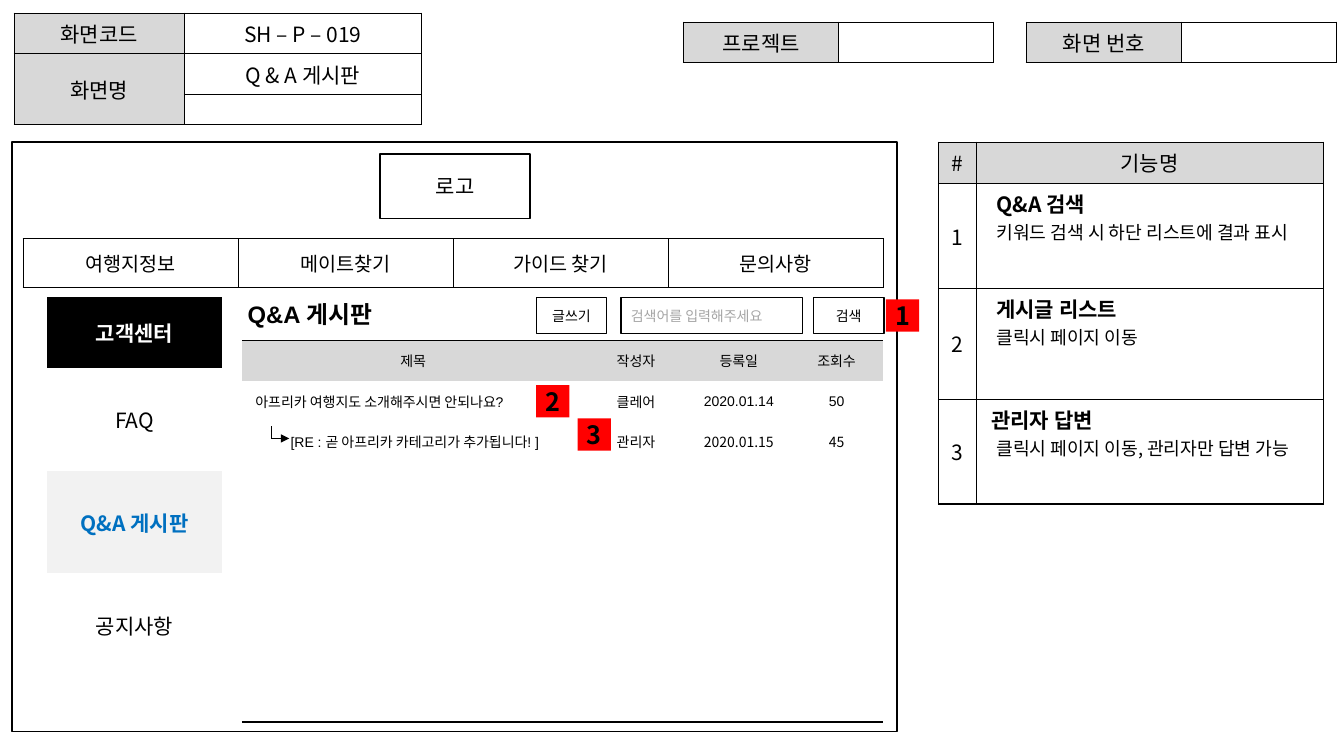
from dataclasses import dataclass

from lxml import etree
from pptx import Presentation
from pptx.dml.color import RGBColor
from pptx.enum.shapes import MSO_CONNECTOR, MSO_SHAPE
from pptx.enum.text import MSO_ANCHOR, MSO_AUTO_SIZE, PP_ALIGN
from pptx.oxml.ns import qn
from pptx.util import Emu, Inches, Pt

RECT, STRAIGHT = MSO_SHAPE.RECTANGLE, MSO_CONNECTOR.STRAIGHT
TOP, MIDDLE = MSO_ANCHOR.TOP, MSO_ANCHOR.MIDDLE
LEFT, CENTER = PP_ALIGN.LEFT, PP_ALIGN.CENTER
NO_AUTOFIT = MSO_AUTO_SIZE.NONE
NOTO, ARIAL = "Noto Sans CJK KR", "Arial"
COLORS = {"black": "000000", "white": "FFFFFF", "label": "D8D8D8", "hint": "A5A5A5",
          "badge": "FF0000", "active": "F2F2F2", "link": "0070C0"}
COLUMNS, ROWS = 160, 90
TITLE_ONLY = 5


@dataclass
class Para:
    text: str
    size: float = 15
    bold: bool = False
    color: str = "black"
    font: str = NOTO
    align: int = CENTER
    indent: float = 0


@dataclass
class Cell:
    paras: tuple = ()
    fill: str = None
    anchor: int = MIDDLE
    sides: str = ""


class Wireframe:
    """Draws on one slide, with lengths in grid columns and rows."""

    def __init__(self, prs):
        self.s = prs.slides.add_slide(prs.slide_layouts[TITLE_ONLY])
        self.col, self.row = prs.slide_width / COLUMNS, prs.slide_height / ROWS

    def x(self, n):
        return Emu(round(n * self.col))

    def y(self, n):
        return Emu(round(n * self.row))

    def box(self, x, y, w, h):
        return self.x(x), self.y(y), self.x(w), self.y(h)

    def paint(self, fill, color):
        if color:
            fill.solid()
            fill.fore_color.rgb = RGBColor.from_string(COLORS[color])
        else:
            fill.background()

    def add_text(self, tf, paras):
        for i, para in enumerate(paras):
            p = tf.add_paragraph() if i else tf.paragraphs[0]
            p.alignment = para.align
            if para.indent:
                pPr = p._p.get_or_add_pPr()
                pPr.set("marL", "0")
                pPr.set("indent", str(self.x(para.indent)))
            r = p.add_run()
            r.text = para.text
            r.font.size, r.font.bold, r.font.name = Pt(para.size), para.bold, para.font
            r.font.color.rgb = RGBColor.from_string(COLORS[para.color])
            etree.SubElement(r.font._element, qn("a:ea"), typeface=NOTO)

    def frame_text(self, tf, inset, anchor, wrap):
        tf.margin_left = tf.margin_right = Inches(inset)
        tf.margin_top = tf.margin_bottom = Inches(0.05)
        tf.vertical_anchor, tf.word_wrap = anchor, wrap

    def title(self, x, y, w, h, para):
        sp = self.s.shapes.title
        sp.left, sp.top, sp.width, sp.height = self.box(x, y, w, h)
        sp.text_frame.auto_size = NO_AUTOFIT
        self.frame_text(sp.text_frame, 0.05, TOP, False)
        self.add_text(sp.text_frame, [para])
        sp.element.getparent().append(sp.element)  # in front of the page frame

    def rect(self, x, y, w, h, *paras, fill="white", line="black", inset=0.1):
        sp = self.s.shapes.add_shape(RECT, *self.box(x, y, w, h))
        sp.shadow.inherit = False
        self.paint(sp.fill, fill)
        self.paint(sp.line.fill, line)
        if line:
            sp.line.width = Pt(1)
        self.frame_text(sp.text_frame, inset, MIDDLE, True)
        self.add_text(sp.text_frame, paras)

    def badge(self, x, y, number):
        self.rect(x, y, 3.96, 3.84, Para(number, 18, True), fill="badge", line=None, inset=0.05)

    def line(self, x1, y1, x2, y2, arrow=False):
        c = self.s.shapes.add_connector(STRAIGHT, self.x(x1), self.y(y1), self.x(x2), self.y(y2))
        c.line.width = Pt(0.75)
        c.line.color.rgb = RGBColor.from_string(COLORS["black"])
        if arrow:
            etree.SubElement(c.line._get_or_add_ln(), qn("a:tailEnd"), type="triangle")
        etree.SubElement(c._element.spPr, qn("a:effectLst"))

    def borders(self, cell, sides, width):
        """Draw the sides named by letters of LRTB and clear the others."""
        tcPr = cell._tc.get_or_add_tcPr()
        for side in "LRTB":
            ln = etree.SubElement(tcPr, qn(f"a:ln{side}"), w=str(Pt(width)))
            if side in sides:
                fill = etree.SubElement(ln, qn("a:solidFill"))
                etree.SubElement(fill, qn("a:srgbClr"), val=COLORS["black"])
            else:
                etree.SubElement(ln, qn("a:noFill"))

    def table(self, x, y, cols, rows, cells, inset=0.05, width=1, blank_size=12):
        frame = self.s.shapes.add_table(len(rows), len(cols), *self.box(x, y, sum(cols), sum(rows)))
        t = frame.table
        t.first_row = t.horz_banding = False
        for column, w in zip(t.columns, cols):
            column.width = self.x(w)
        for row, h in zip(t.rows, rows):
            row.height = self.y(h)
        for i, line in enumerate(cells):
            for j, content in enumerate(line):
                cell = t.cell(i, j)
                cell.margin_left = cell.margin_right = Inches(inset)
                cell.margin_top = cell.margin_bottom = Inches(inset)
                cell.vertical_anchor = content.anchor
                self.borders(cell, content.sides, width)
                self.paint(cell.fill, content.fill)
                self.add_text(cell.text_frame, content.paras)
                if not content.paras:
                    p = cell.text_frame.paragraphs[0]._p
                    etree.SubElement(p, qn("a:endParaRPr"), sz=str(blank_size * 100))
        return t


def boxed(*paras, fill="white", anchor=MIDDLE):
    return Cell(paras, fill, anchor, "LRTB")


def label(text):
    return boxed(Para(text), fill="label")


def feature(number, name, detail, indent=1.8):
    return [boxed(Para(number)),
            boxed(Para(name, bold=True, align=LEFT, indent=indent),
                  Para(detail, 13, align=LEFT, indent=1.8), anchor=TOP)]


def post(subject, indent, author, *figures, font=NOTO, anchor=MIDDLE):
    paras = [Para(subject, 10, font=ARIAL, align=LEFT, indent=indent), Para(author, 10)]
    paras += [Para(f, 10, font=font) for f in figures]
    return [Cell((p,), anchor=anchor) for p in paras]


def main():
    prs = Presentation()
    prs.slide_width, prs.slide_height = Inches(13.33), Inches(7.5)
    w = Wireframe(prs)

    code = w.table(1.68, 1.56, [20.28, 28.2], [3.6] * 3, [
        [label("화면코드"), boxed(Para("SH – P – 019"))],
        [label("화면명"), boxed(Para("Q & A 게시판"))],
        [boxed(fill="label"), boxed()]])
    code.cell(1, 0).merge(code.cell(2, 0))
    for x, name in ((122.16, "화면 번호"), (81.36, "프로젝트")):
        w.table(x, 2.64, [18.48] * 2, [3.48], [[label(name), boxed()]])

    w.rect(1.44, 16.92, 105.36, 70.2)
    w.table(111.72, 16.92, [4.5, 41.3], [4.92, 12.48, 13.2, 12.48], [
        [label("#"), label("기능명")],
        feature("1", "Q&A 검색", "키워드 검색 시 하단 리스트에 결과 표시"),
        feature("2", "게시글 리스트", "클릭시 페이지 이동"),
        feature("3", "관리자 답변", "클릭시 페이지 이동, 관리자만 답변 가능", indent=1.2)])

    w.rect(45.24, 18.36, 17.88, 7.68, Para("로고"))
    menu = ["여행지정보", "메이트찾기", "가이드 찾기", "문의사항"]
    w.table(2.76, 28.44, [25.59] * len(menu), [5.04],
            [[boxed(Para(m, 14), fill=None, anchor=TOP) for m in menu]], 0.1, 0.75)

    heads = [Cell((Para(h, 10),), "label", TOP, "T") for h in ["제목", "작성자", "등록일", "조회수"]]
    blanks = [[Cell(sides="B" if i == 6 else "") for _ in heads] for i in range(7)]
    w.table(28.8, 40.56, [40.8, 12.24, 12.24, 11.04], [4.43] * 10, [
        heads,
        post("아프리카 여행지도 소개해주시면 안되나요?", 0.4, "클레어", "2020.01.14", "50", font=ARIAL),
        post("[RE : 곧 아프리카 카테고리가 추가됩니다! ]", 4.6, "관리자", "2020.01.15", "45", anchor=TOP),
        *blanks], 0.1, blank_size=10)

    w.title(28.44, 35.04, 16.92, 4.68, Para("Q&A 게시판", 17, True, font=ARIAL))
    w.rect(73.92, 35.4, 21.6, 4.32, Para("검색어를 입력해주세요", 10, color="hint", align=LEFT))
    for x, name in ((96.84, "검색"), (63.84, "글쓰기")):
        w.rect(x, 35.4, 8.4, 4.32, Para(name, 10))

    w.table(5.64, 35.4, [20.76], [8.4] + [12.24] * 3, [
        [Cell((Para("고객센터", bold=True, color="white"),), "black")],
        [Cell((Para("FAQ"),))],
        [Cell((Para("Q&A 게시판", bold=True, color="link"),), "active")],
        [Cell((Para("공지사항"),), "white")]], 0.1)

    w.line(32.28, 52.2, 34.44, 52.2, arrow=True)
    w.line(32.28, 52.2, 32.28, 50.76)
    for x, y, number in ((105.48, 35.64, "1"), (68.76, 49.8, "3"), (63.84, 45.84, "2")):
        w.badge(x, y, number)
    prs.save("out.pptx")


if __name__ == "__main__":
    main()
